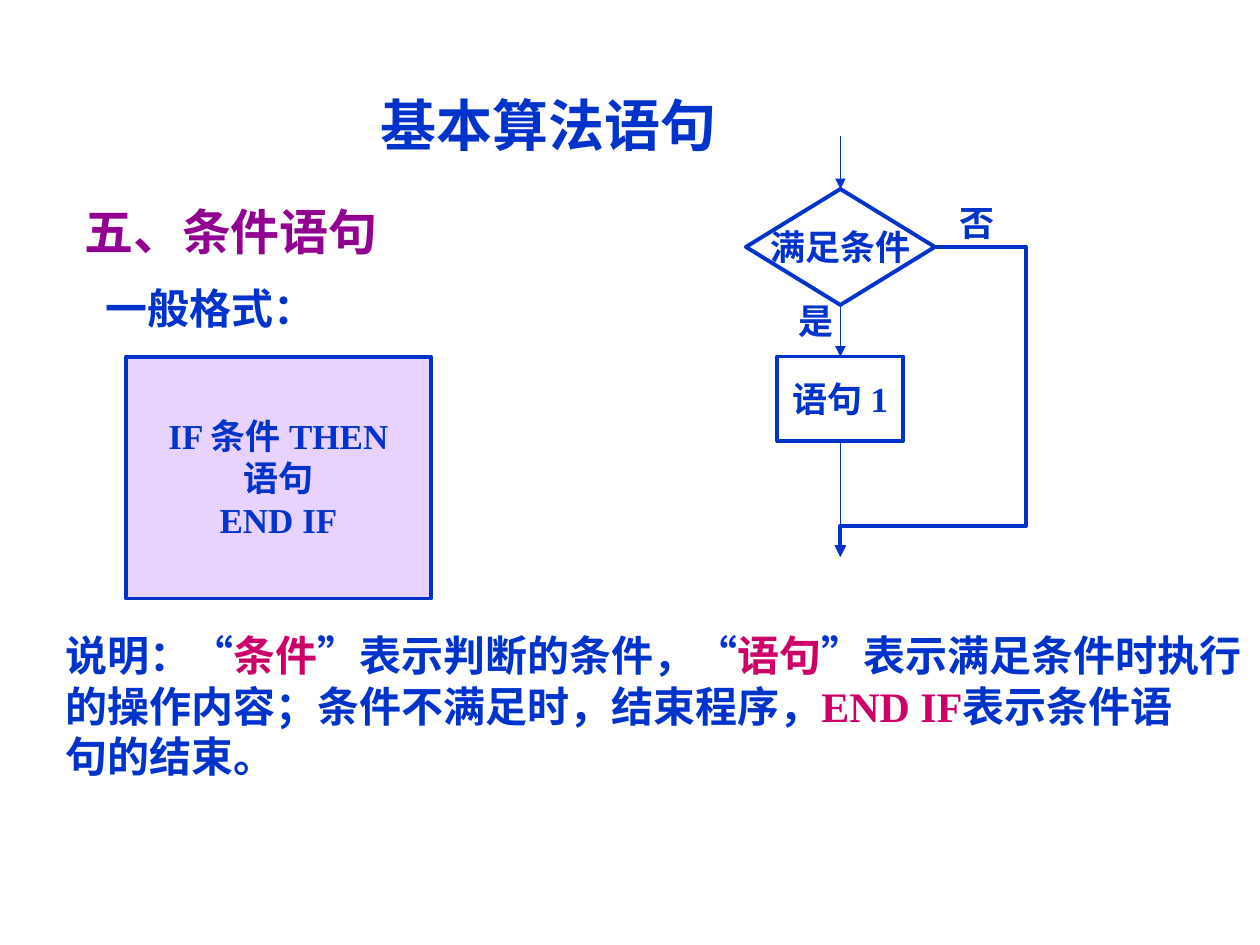
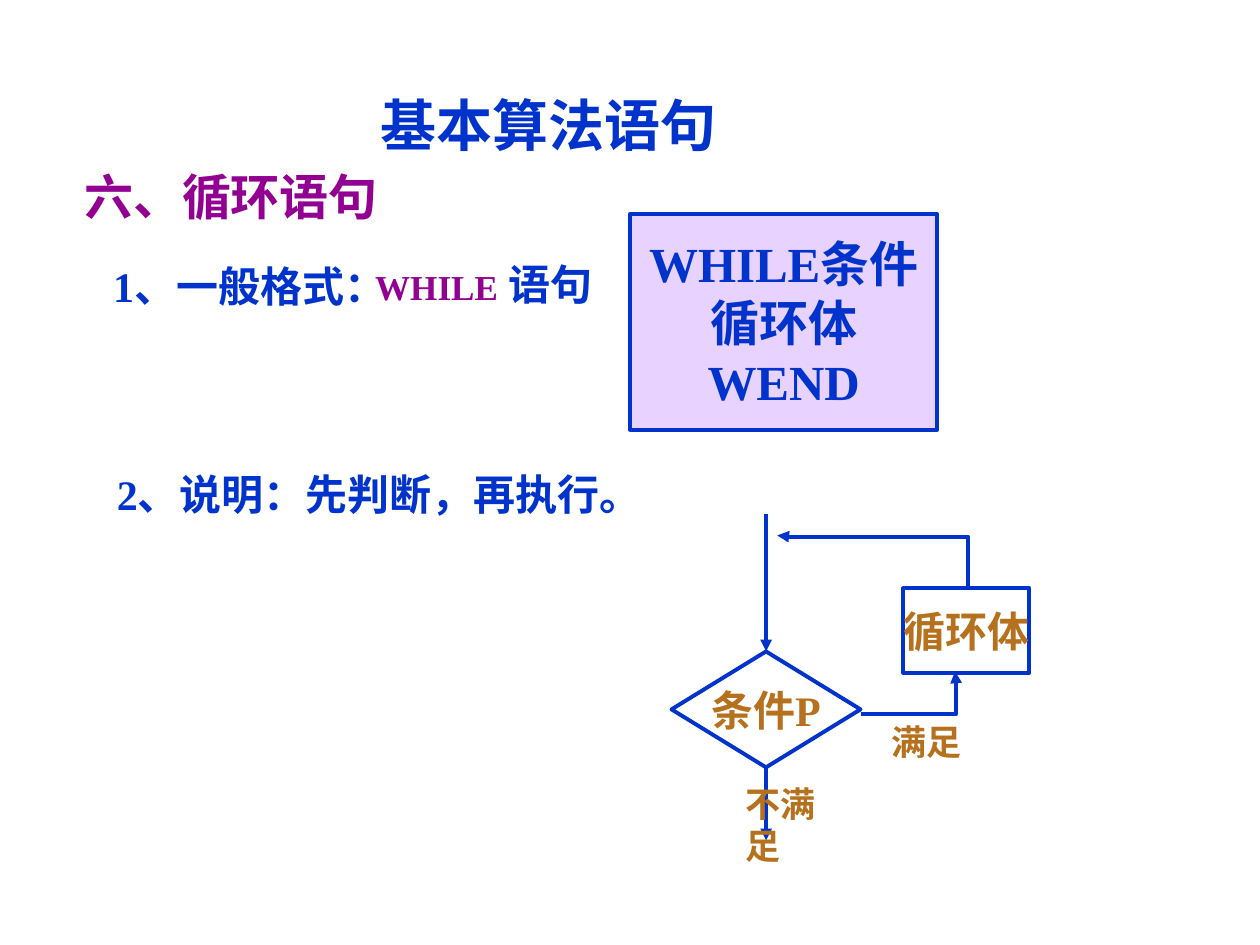
import pptx
import pptx.util
import pptx.dml.color
import pptx.enum.shapes
import pptx.enum.text
import pptx.oxml.ns
from lxml import etree

Inches = pptx.util.Inches
Pt = pptx.util.Pt
SHAPES = pptx.enum.shapes.MSO_SHAPE
qn = pptx.oxml.ns.qn

BLUE, PURPLE, PINK, BROWN = "0033CC", "920092", "CC0066", "B6711E"
LILAC, WHITE = "D3A7FF", "FFFFFF"
FONT = "Times New Roman"
THICK, THIN = 2.25, 0.75
PROCESS, DECISION = SHAPES.FLOWCHART_PROCESS, SHAPES.FLOWCHART_DECISION
PROCESS_SIZE, DECISION_SIZE = (1, 0.67), (1.5, 0.92)
TITLE = "基本算法语句"

# A paragraph is a string, or a list of (text, colour, size) runs
EXPLANATION = [
    [("说明：“", BLUE, 24), ("条件", PINK, 24), ("”表示判断的条件，“", BLUE, 24),
     ("语句", PINK, 24), ("”表示满足条件时执行", BLUE, 24)],
    [("的操作内容；条件不满足时，结束程序，", BLUE, 24), ("END IF", PINK, 24),
     ("表示条件语", BLUE, 24)],
    "句的结束。",
]
WHILE_STATEMENT = [[("WHILE", PURPLE, 20), (" 语句", BLUE, 24)]]

# labels: place, paragraphs, size, colour
# format_box: place, paragraphs, size
# steps: shape, left and top, size, text, text size, colour
# arrows: start, end, width
# bends: start, end, preset, adjustments
SLIDES = [
    dict(
        heading=("五、条件语句", 1.55),
        labels=[
            ((0.74, 2.19, 1.86, 0.5), ["一般格式："], 24, BLUE),
            ((0.42, 4.95, 9.53, 1.3), EXPLANATION, 24, BLUE),
            ((6.24, 2.33, 0.48, 0.44), ["是"], 20, BLUE),
            ((7.52, 1.55, 0.48, 0.44), ["否"], 20, BLUE),
        ],
        format_box=((1, 2.83, 2.42, 1.92), ["IF 条件 THEN", "语句", "END IF"], 20),
        steps=[
            (DECISION, (5.92, 1.5), DECISION_SIZE, "满足条件", 20, BLUE),
            (PROCESS, (6.17, 2.83), PROCESS_SIZE, "语句 1", 20, BLUE),
        ],
        arrows=[
            ((6.67, 1.08), (6.67, 1.5), THIN),
            ((6.67, 2.42), (6.67, 2.83), THIN),
            ((6.67, 3.5), (6.67, 4.42), THIN),
        ],
        bends=[((7.43, 1.96), (6.67, 4.42), "bentConnector4", (-0.94, 0.9))],
    ),
    dict(
        heading=("六、循环语句", 1.27),
        labels=[
            ((0.8, 2.02, 2.44, 0.5), ["1、一般格式："], 24, BLUE),
            ((2.88, 2, 2, 0.5), WHILE_STATEMENT, 24, BLUE),
            ((0.83, 3.67, 4.44, 0.5), ["2、说明：先判断，再执行。"], 24, BLUE),
            ((6.98, 5.67, 0.76, 0.44), ["满足"], 20, BROWN),
            ((5.82, 6.16, 1.03, 0.44), ["不满足"], 20, BROWN),
        ],
        format_box=((5, 1.7, 2.44, 1.71), ["WHILE条件", "循环体", "WEND"], 28),
        steps=[
            (PROCESS, (7.17, 4.67), PROCESS_SIZE, "循环体", 24, BROWN),
            (DECISION, (5.33, 5.17), DECISION_SIZE, "条件P", 24, BROWN),
        ],
        arrows=[
            ((6.08, 4.08), (6.08, 5.17), THICK),
            ((6.08, 6), (6.08, 6.67), THICK),
        ],
        bends=[
            ((6.83, 5.67), (7.58, 5.33), "bentConnector3", (1.01,)),
            ((7.67, 4.67), (6.17, 4.25), "bentConnector4", (-0.01, 0.98)),
        ],
    ),
]


def rgb(colour):
    return pptx.dml.color.RGBColor.from_string(colour)


def style(font, size, colour):
    font.name, font.size, font.bold = FONT, Pt(size), True
    font.color.rgb = rgb(colour)


def write(frame, paragraphs, size, colour, align, wrap=False):
    frame.word_wrap = wrap
    for index, content in enumerate(paragraphs):
        paragraph = frame.paragraphs[0] if index == 0 else frame.add_paragraph()
        paragraph.alignment = align
        if isinstance(content, str):
            paragraph.text = content
            style(paragraph.font, size, colour)
            continue
        for text, run_colour, run_size in content:
            run = paragraph.add_run()
            run.text = text
            style(run.font, run_size, run_colour)


def add_label(slide, place, paragraphs, size, colour, wrap=False):
    box = slide.shapes.add_textbox(*map(Inches, place))
    write(box.text_frame, paragraphs, size, colour, pptx.enum.text.PP_ALIGN.LEFT, wrap)
    box.text_frame.auto_size = pptx.enum.text.MSO_AUTO_SIZE.SHAPE_TO_FIT_TEXT


def add_box(slide, kind, place, paragraphs, size, colour, fill=WHITE):
    box = slide.shapes.add_shape(kind, *map(Inches, place))
    box.shadow.inherit = False
    box.fill.solid()
    box.fill.fore_color.rgb = rgb(fill)
    box.line.color.rgb = rgb(BLUE)
    box.line.width = Pt(THICK)
    box.text_frame.vertical_anchor = pptx.enum.text.MSO_ANCHOR.MIDDLE
    write(box.text_frame, paragraphs, size, colour, pptx.enum.text.PP_ALIGN.CENTER)
    return box


def add_arrow(slide, start, end, width=THICK, preset=None, adjustments=()):
    kinds = pptx.enum.shapes.MSO_CONNECTOR
    kind = kinds.ELBOW if preset else kinds.STRAIGHT
    arrow = slide.shapes.add_connector(kind, *map(Inches, start + end))
    arrow.line.color.rgb = rgb(BLUE)
    arrow.line.width = Pt(width)
    properties = arrow._element.spPr
    etree.SubElement(arrow.line._get_or_add_ln(), qn("a:tailEnd"), type="triangle")
    etree.SubElement(properties, qn("a:effectLst"))
    if preset:
        geometry = properties.find(qn("a:prstGeom"))
        geometry.set("prst", preset)
        guides = geometry.find(qn("a:avLst"))
        for number, value in enumerate(adjustments, 1):
            etree.SubElement(guides, qn("a:gd"), name=f"adj{number}",
                             fmla=f"val {round(value * 100000)}")


def build_slide(deck, content):
    slide = deck.slides.add_slide(deck.slide_layouts[6])

    # Title and section heading
    heading, heading_top = content["heading"]
    add_label(slide, (2.92, 0.67, 3.2, 0.64), [TITLE], 32, BLUE, wrap=True)
    add_label(slide, (0.57, heading_top, 3.1, 0.57), [heading], 28, PURPLE, wrap=True)

    # Statement format in a half-transparent box
    place, lines, size = content["format_box"]
    format_box = add_box(slide, PROCESS, place, lines, size, BLUE, LILAC)
    fill_colour = format_box._element.spPr.find(qn("a:solidFill"))[0]
    etree.SubElement(fill_colour, qn("a:alpha"), val="50000")

    # Flow chart
    for start, end, width in content["arrows"]:
        add_arrow(slide, start, end, width)
    for start, end, preset, adjustments in content["bends"]:
        add_arrow(slide, start, end, THICK, preset, adjustments)
    for kind, corner, extent, text, size, colour in content["steps"]:
        add_box(slide, kind, corner + extent, [text], size, colour)

    # Explanations and branch labels
    for label in content["labels"]:
        add_label(slide, *label)


def main():
    deck = pptx.Presentation()
    deck.slide_width, deck.slide_height = Inches(10), Inches(7.5)
    for content in SLIDES:
        build_slide(deck, content)
    deck.save("out.pptx")


if __name__ == "__main__":
    main()
